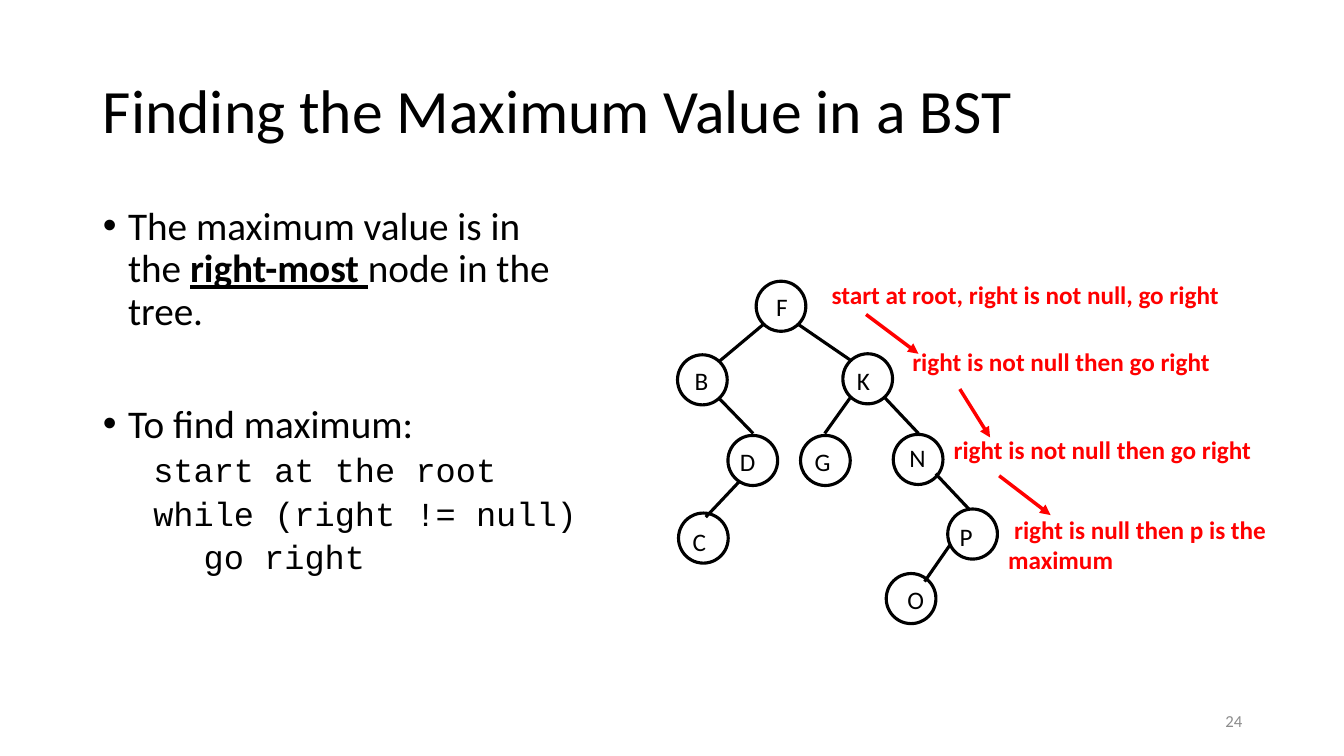
import dataclasses
import typing

import lxml.etree
import pptx
import pptx.dml.color
import pptx.enum.shapes
import pptx.enum.text
import pptx.oxml.ns
import pptx.util

INK, ALERT, MUTED = "000000", "FF0000", "8C8C8C"
BODY_FONT, CODE_FONT = "Calibri", "Courier New"
SLIDE_WIDTH, SLIDE_HEIGHT = pptx.util.Inches(13.33), pptx.util.Inches(7.5)
COLUMNS, ROWS = 133.3, 75
NODE_COLUMNS, NODE_ROWS = 4.93, 4.97
Point = tuple[float, float]
ALIGN = pptx.enum.text.PP_ALIGN
ANCHOR = pptx.enum.text.MSO_ANCHOR


@dataclasses.dataclass
class Node:
    letter: str
    corner: Point
    label: Point


@dataclasses.dataclass
class Edge:
    start: Point
    end: Point


@dataclasses.dataclass
class Step:
    text: str
    corner: Point
    size: Point


@dataclasses.dataclass
class BodyLine:
    runs: list[tuple[str, dict[str, typing.Any]]]
    level: int = 0
    indent: float = 0.25
    hanging: float = -0.25
    space_before: float = 10
    bullet: str = ""


NODES = [
    Node("F", (75, 27.9), (76, 28.4)),
    Node("K", (83.6, 35.1), (84, 35.7)),
    Node("B", (67.2, 35.2), (67.9, 35.7)),
    Node("D", (72.2, 43.2), (72.4, 43.8)),
    Node("G", (79.4, 43.2), (79.8, 43.8)),
    Node("N", (88.6, 43.1), (89.2, 43.4)),
    Node("C", (67.3, 50.9), (67.7, 51.7)),
    Node("P", (94, 50.5), (94.2, 51.2)),
    Node("O", (87.9, 56.9), (89, 57.5)),
]
BRANCHES = [
    Edge((75.7, 32.2), (71.4, 35.8)),
    Edge((73.3, 47.8), (70, 51.3)),
    Edge((84.3, 39.5), (81.8, 43)),
    Edge((79.2, 32.2), (84.3, 35.7)),
    Edge((71.4, 39.6), (74.7, 43)),
    Edge((87.8, 39.5), (91.1, 43)),
    Edge((92.8, 47), (96.1, 50.5)),
    Edge((94.2, 54.1), (91.7, 57.7)),
]
GO_RIGHT = "right is not null then go right"
STEPS = [
    Step("start at root, right is not null, go right", (80.9, 27.2), (47.6, 4)),
    Step(GO_RIGHT, (88.9, 33.9), (40.5, 4)),
    Step(GO_RIGHT, (93, 42.6), (40.3, 4)),
    Step("right is null then p is the maximum", (99, 50.5), (34.3, 7.1)),
]
STEP_ARROWS = [
    Edge((85.9, 31.2), (91.1, 35.1)),
    Edge((95.2, 38.6), (98.2, 43.4)),
    Edge((99.1, 47.2), (104.2, 51.1)),
]
PROSE = {"size": pptx.util.Pt(28), "name": BODY_FONT}
CODE = {"size": pptx.util.Pt(24), "name": CODE_FONT}
KEY_TERM = PROSE | {"bold": True, "underline": True}
BODY_LINES = [
    BodyLine([("The maximum value is in the ", PROSE), ("right-most ", KEY_TERM),
              ("node in the tree.", PROSE)], bullet="•"),
    BodyLine([("To find maximum:", PROSE)], space_before=50.5, bullet="•"),
    BodyLine([("start at the root", CODE)], 1, 0.5, 0, 5),
    BodyLine([("while (right != null)", CODE)], 1, 0.5, 0, 5),
    BodyLine([("go right", CODE)], 2, 1, 0, 5),
]


def across(columns: float) -> int:
    return round(SLIDE_WIDTH * columns / COLUMNS)


def down(rows: float) -> int:
    return round(SLIDE_HEIGHT * rows / ROWS)


def box(corner: Point, size: Point) -> tuple[int, int, int, int]:
    return across(corner[0]), down(corner[1]), across(size[0]), down(size[1])


def apply_format(target: typing.Any, values: dict[str, typing.Any]) -> None:
    for attribute, value in values.items():
        setattr(target, attribute, value)


def paint(color: typing.Any, hex_code: str) -> None:
    color.rgb = pptx.dml.color.RGBColor.from_string(hex_code)


def add_xml(parent: typing.Any, tag: str, **attributes: str) -> None:
    lxml.etree.SubElement(parent, pptx.oxml.ns.qn(tag), attributes)


def add_run(paragraph: typing.Any, text: str, values: dict[str, typing.Any],
            hex_code: str = INK) -> None:
    run = paragraph.add_run()
    run.text = text
    apply_format(run.font, values)
    paint(run.font.color, hex_code)


def set_indent(paragraph: typing.Any, left: float, first: float) -> typing.Any:
    properties = paragraph._p.get_or_add_pPr()
    properties.set("marL", str(int(pptx.util.Inches(left))))
    properties.set("indent", str(int(pptx.util.Inches(first))))
    return properties


def move(shape: typing.Any, corner: Point, size: Point) -> None:
    apply_format(shape, dict(zip(("left", "top", "width", "height"), box(corner, size))))


def add_text(shapes: typing.Any, text: str, corner: Point, size: Point,
             font: dict[str, typing.Any], hex_code: str = INK) -> typing.Any:
    frame = shapes.add_textbox(*box(corner, size)).text_frame
    frame.word_wrap = True
    add_run(frame.paragraphs[0], text, {"name": BODY_FONT} | font, hex_code)
    return frame


def add_edge(shapes: typing.Any, edge: Edge, hex_code: str, weight: float,
             arrow: bool = False) -> None:
    line = shapes.add_connector(
        pptx.enum.shapes.MSO_CONNECTOR.STRAIGHT,
        across(edge.start[0]), down(edge.start[1]), across(edge.end[0]), down(edge.end[1]))
    line.line.width = pptx.util.Pt(weight)
    paint(line.line.color, hex_code)
    properties = line._element.spPr
    if arrow:
        add_xml(properties.find(pptx.oxml.ns.qn("a:ln")), "a:tailEnd", type="triangle")
    add_xml(properties, "a:effectLst")


def add_node(shapes: typing.Any, node: Node) -> None:
    circle = shapes.add_shape(pptx.enum.shapes.MSO_SHAPE.OVAL,
                              *box(node.corner, (NODE_COLUMNS, NODE_ROWS)))
    circle.shadow.inherit = False
    circle.fill.background()
    circle.line.width = pptx.util.Pt(2.25)
    paint(circle.line.color, INK)
    add_text(shapes, node.letter, node.label, (3.9, 3.5), {"size": pptx.util.Pt(18)})


def add_body_line(paragraph: typing.Any, line: BodyLine) -> None:
    apply_format(paragraph, {"level": line.level, "line_spacing": 0.9,
                             "space_before": pptx.util.Pt(line.space_before),
                             "alignment": ALIGN.LEFT})
    properties = set_indent(paragraph, line.indent, line.hanging)
    if line.bullet:
        add_xml(properties, "a:buChar", char=line.bullet)
    else:
        add_xml(properties, "a:buNone")
    for text, values in line.runs:
        add_run(paragraph, text, values)


def fill_placeholders(slide: typing.Any) -> None:
    title, body = slide.shapes.title, slide.placeholders[1]
    move(title, (9.2, 4), (115, 14.5))
    move(body, (9.2, 20), (49.2, 47.6))
    for shape, anchor in ((title, ANCHOR.MIDDLE), (body, ANCHOR.TOP)):
        apply_format(shape.text_frame, {"word_wrap": True, "vertical_anchor": anchor,
                                        "auto_size": pptx.enum.text.MSO_AUTO_SIZE.NONE})
    heading = title.text_frame.paragraphs[0]
    apply_format(heading, {"alignment": ALIGN.LEFT, "line_spacing": 0.9})
    add_run(heading, "Finding the Maximum Value in a BST",
            {"size": pptx.util.Pt(44), "name": BODY_FONT})
    frame = body.text_frame
    for index, line in enumerate(BODY_LINES):
        add_body_line(frame.add_paragraph() if index else frame.paragraphs[0], line)


def main() -> None:
    deck = pptx.Presentation()
    apply_format(deck, {"slide_width": SLIDE_WIDTH, "slide_height": SLIDE_HEIGHT})
    slide = deck.slides.add_slide(deck.slide_layouts[1])
    fill_placeholders(slide)
    page = add_text(slide.shapes, "24", (94.2, 69.5), (30, 4),
                    {"size": pptx.util.Pt(12)}, MUTED)
    page.vertical_anchor = ANCHOR.MIDDLE
    page.paragraphs[0].alignment = ALIGN.RIGHT

    tree = slide.shapes.add_group_shape().shapes
    for node in NODES:
        add_node(tree, node)
    for branch in BRANCHES:
        add_edge(tree, branch, INK, 2.25)
    for step in STEPS:
        caption = add_text(slide.shapes, step.text, step.corner, step.size,
                           {"size": pptx.util.Pt(18), "bold": True}, ALERT)
        set_indent(caption.paragraphs[0], 0, 0.06)
    for arrow in STEP_ARROWS:
        add_edge(slide.shapes, arrow, ALERT, 2.5, arrow=True)
    deck.save("out.pptx")


if __name__ == "__main__":
    main()
